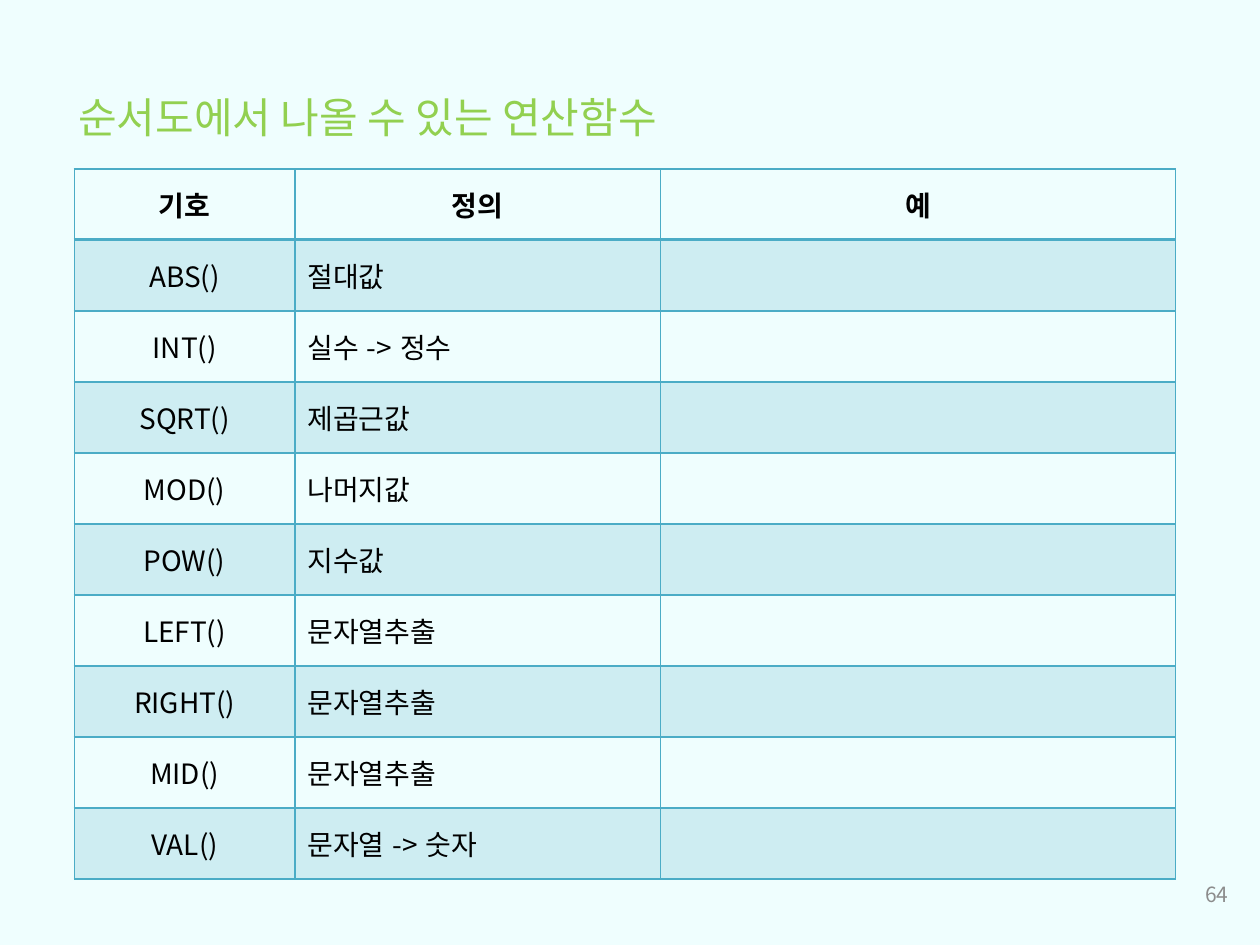
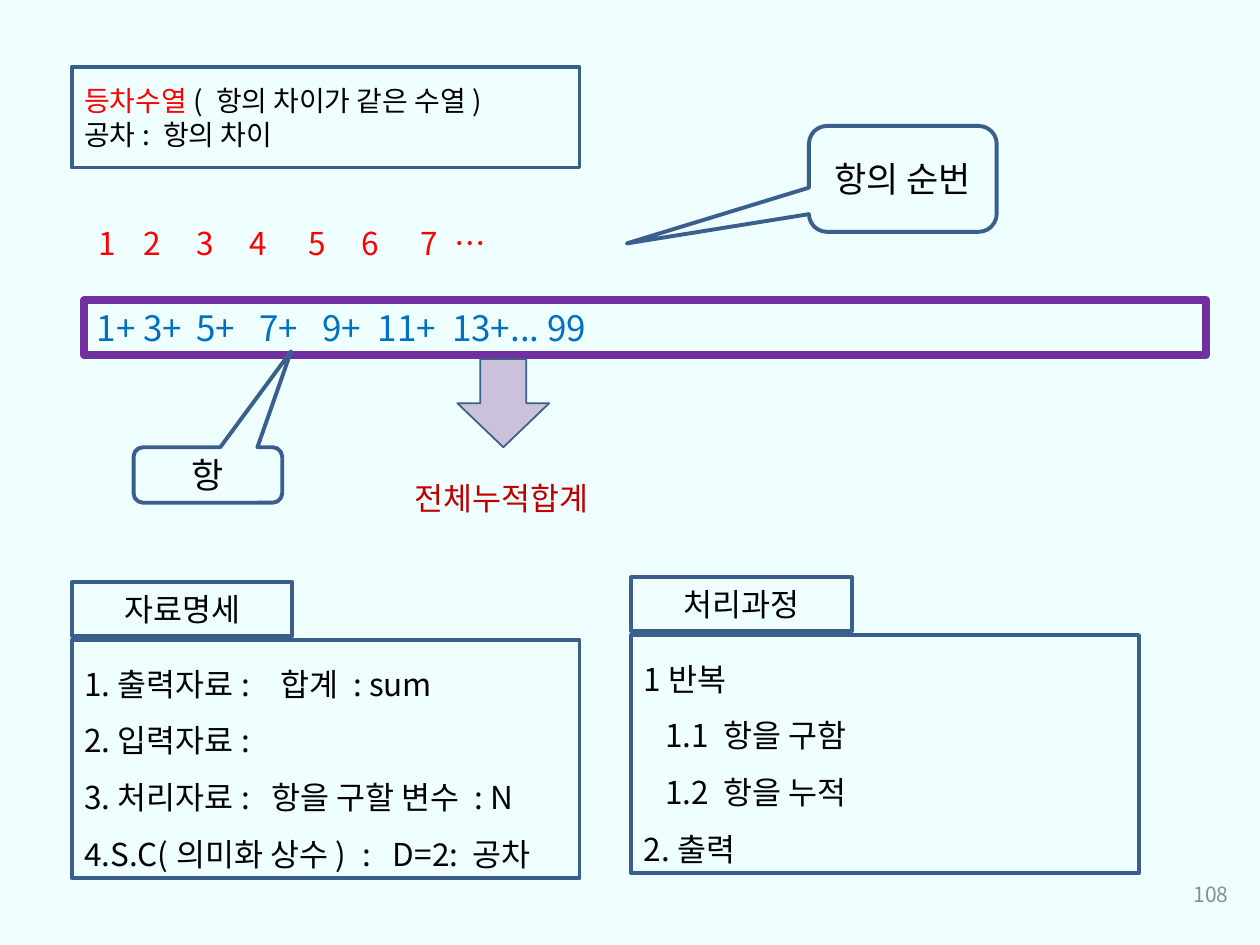
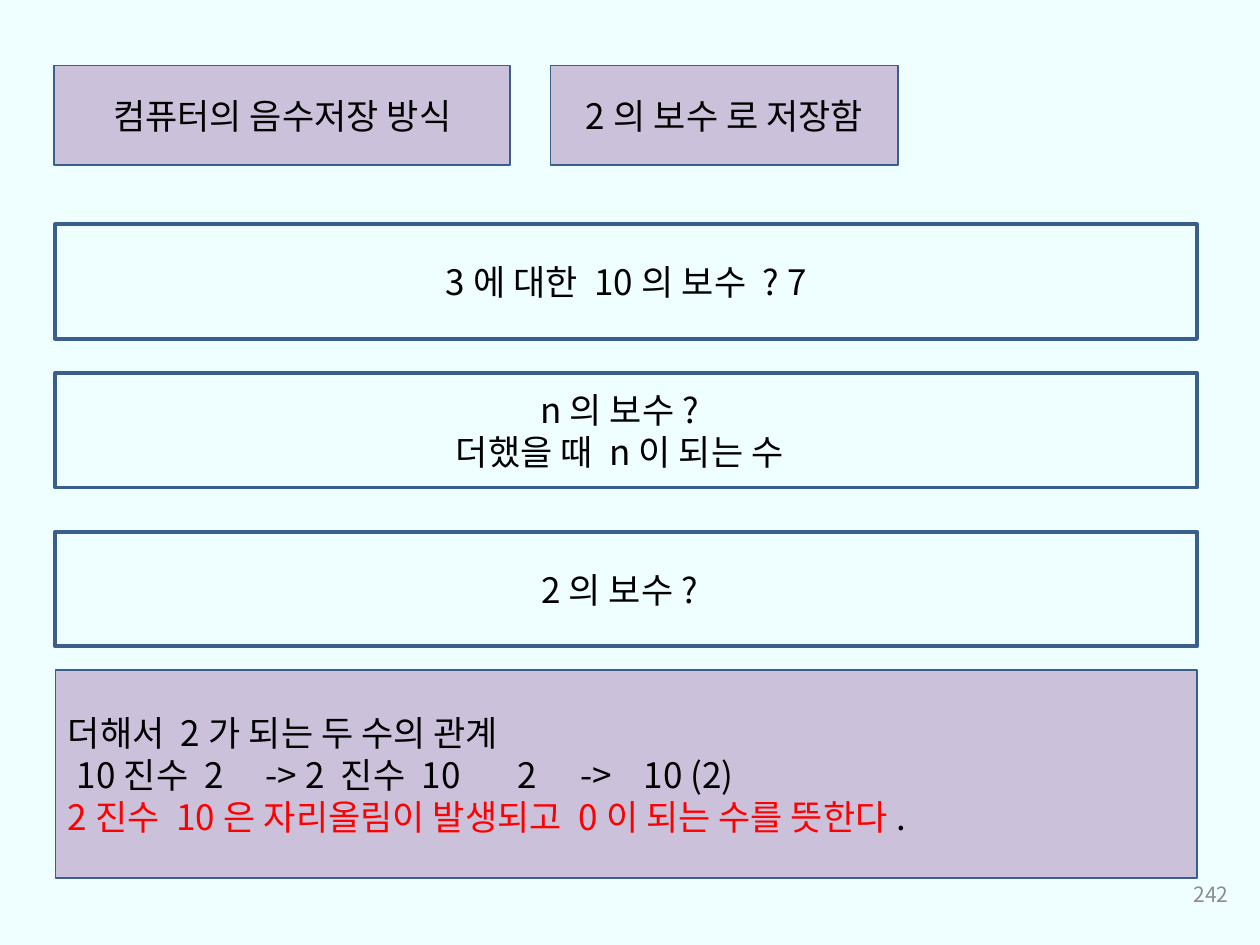
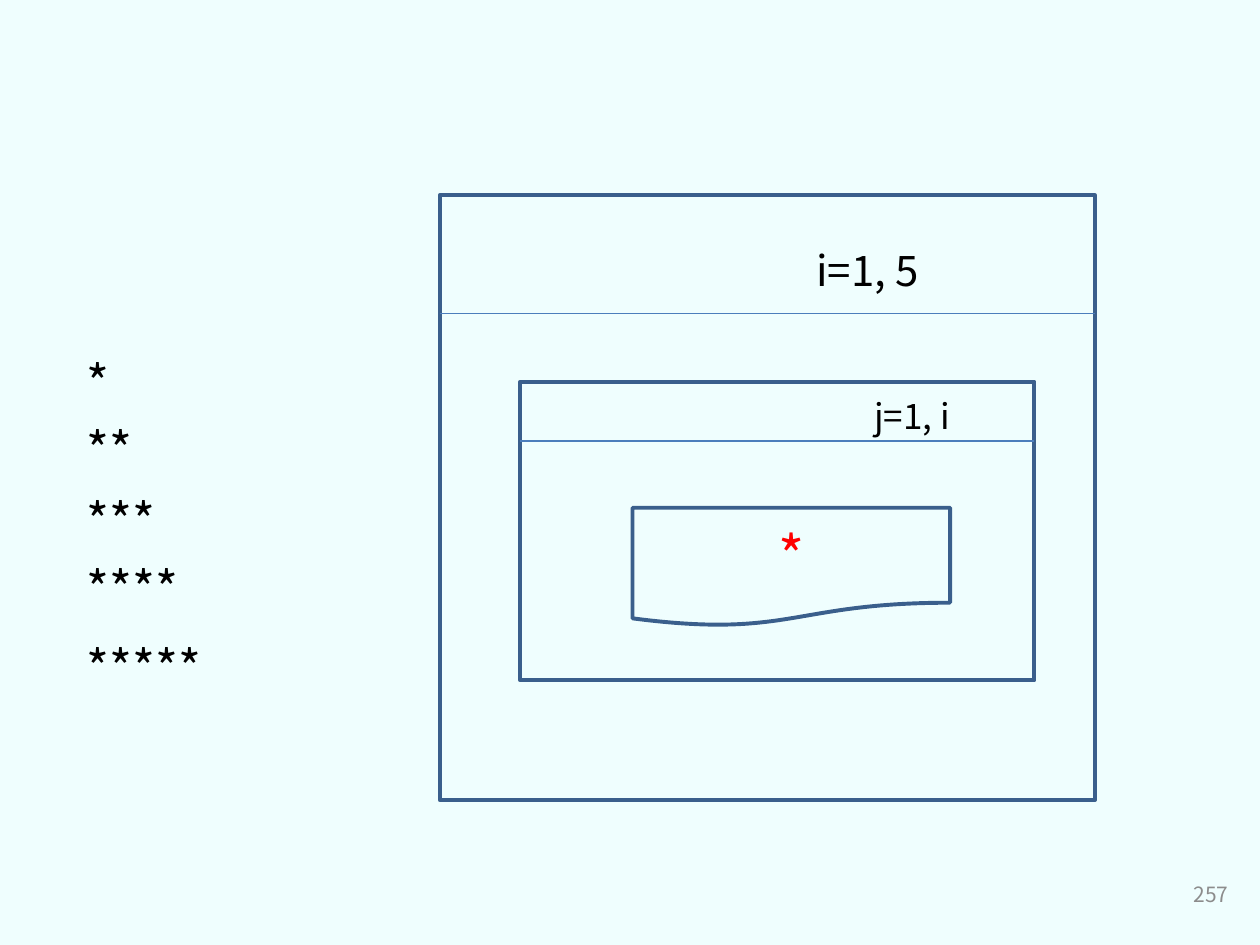
from collections.abc import Sequence
from dataclasses import dataclass

from lxml import etree
from pptx import Presentation
from pptx.dml.color import RGBColor
from pptx.enum.shapes import MSO_CONNECTOR, MSO_SHAPE
from pptx.enum.text import MSO_ANCHOR, MSO_AUTO_SIZE, PP_ALIGN
from pptx.oxml.ns import qn
from pptx.util import Inches, Pt

LEFT, CENTER, RIGHT = PP_ALIGN.LEFT, PP_ALIGN.CENTER, PP_ALIGN.RIGHT
TOP, MIDDLE = MSO_ANCHOR.TOP, MSO_ANCHOR.MIDDLE
RECTANGLE = MSO_SHAPE.RECTANGLE
CALLOUT = MSO_SHAPE.ROUNDED_RECTANGULAR_CALLOUT
DOWN_ARROW = MSO_SHAPE.DOWN_ARROW
DOCUMENT = MSO_SHAPE.FLOWCHART_DOCUMENT
STRAIGHT = MSO_CONNECTOR.STRAIGHT
NO_AUTOFIT = MSO_AUTO_SIZE.NONE
TITLE_ONLY, BLANK = 5, 6


@dataclass(frozen=True)
class Theme:
    font: str = "Noto Sans CJK KR"
    background: str = "EFFEFE"
    text: str = "000000"
    title: str = "92D050"
    number: str = "8C8C8C"
    outline: str = "3A5F8C"
    divider: str = "4B7EBC"
    lilac: str = "CCC1DA"
    grid: str = "4BACC6"
    red: str = "FF0000"
    dark_red: str = "C00000"
    blue: str = "0070C0"
    purple: str = "7030A0"
    number_size: int = 12
    small_size: int = 16
    body_size: int = 18
    large_size: int = 20
    title_size: int = 24
    star_size: int = 28
    big_star_size: int = 32
    thin: float = 1
    thick: float = 2.25
    heavy: float = 4.5
    hairline: float = 0.75


THEME = Theme()


@dataclass(frozen=True)
class Area:
    left: float
    top: float
    width: float
    height: float

    def lengths(self) -> tuple:
        return tuple(Inches(v) for v in (self.left, self.top, self.width, self.height))


@dataclass(frozen=True)
class Span:
    text: str
    color: str | None = None


@dataclass(frozen=True)
class Para:
    spans: tuple[Span, ...]
    tabs: tuple[float, ...] = ()
    indent: float = 0


@dataclass(frozen=True)
class Loop:
    frame: Area
    divider_top: float
    label: str
    label_area: Area
    label_size: int


def plain(text: str, tabs: tuple[float, ...] = (), indent: float = 0) -> Para:
    return Para((Span(text),), tabs, indent)


def write_text(frame, content: str | Sequence[Para], *, size: int = THEME.large_size,
               color: str = THEME.text, bold: bool = False, align=LEFT, anchor=MIDDLE,
               line_spacing: float | None = None, right_inset: float = 0.1) -> None:
    frame.word_wrap = True
    frame.auto_size = NO_AUTOFIT
    frame.vertical_anchor = anchor
    frame.margin_right = Inches(right_inset)
    paras = [plain(content)] if isinstance(content, str) else content
    for index, para in enumerate(paras):
        paragraph = frame.paragraphs[0] if index == 0 else frame.add_paragraph()
        fill_paragraph(paragraph, para, size, color, bold)
        paragraph.alignment = align
        if line_spacing:
            paragraph.line_spacing = line_spacing


def fill_paragraph(paragraph, para: Para, size: int, color: str, bold: bool) -> None:
    properties = paragraph._p.get_or_add_pPr()
    if para.indent:
        properties.set("marL", str(Inches(para.indent)))
        properties.set("indent", "0")
    if para.tabs:
        stops = etree.SubElement(properties, qn("a:tabLst"))
        for position in para.tabs:
            etree.SubElement(stops, qn("a:tab"), pos=str(Inches(position)), algn="l")
    for span in para.spans:
        run = paragraph.add_run()
        run.text = span.text
        run.font.size = Pt(size)
        run.font.bold = bold
        run.font.color.rgb = RGBColor.from_string(span.color or color)
        run.font.name = THEME.font
        etree.SubElement(run._r.get_or_add_rPr(), qn("a:ea"), typeface=THEME.font)


def add_box(shapes, area: Area, content: str | Sequence[Para] | None = None, *,
            kind=RECTANGLE, fill: str | None = None, line: str = THEME.outline,
            weight: float = THEME.thick, adjustments: Sequence[float] = (), **text_format):
    box = shapes.add_shape(kind, *area.lengths())
    box.shadow.inherit = False
    if fill:
        box.fill.solid()
        box.fill.fore_color.rgb = RGBColor.from_string(fill)
    else:
        box.fill.background()
    box.line.color.rgb = RGBColor.from_string(line)
    box.line.width = Pt(weight)
    for index, value in enumerate(adjustments):
        box.adjustments[index] = value
    if content:
        write_text(box.text_frame, content, **text_format)
    return box


def add_label(page, area: Area, content: str | Sequence[Para], **text_format) -> None:
    box = page.shapes.add_textbox(*area.lengths())
    write_text(box.text_frame, content, **{"anchor": TOP, **text_format})


def add_page(deck, layout: int, number: int):
    page = deck.slides.add_slide(deck.slide_layouts[layout])
    add_label(page, Area(7.52, 6.9, 2.33, 0.4), str(number), size=THEME.number_size,
              color=THEME.number, align=RIGHT, anchor=MIDDLE)
    return page


def style_cell(cell, row: int) -> None:
    properties = cell._tc.get_or_add_tcPr()
    weights = {"lnL": 1, "lnR": 1, "lnT": 2 if row == 1 else 1, "lnB": 2 if row == 0 else 1}
    for side, weight in weights.items():
        border = etree.SubElement(properties, qn(f"a:{side}"), w=str(Pt(weight)))
        solid = etree.SubElement(border, qn("a:solidFill"))
        etree.SubElement(solid, qn("a:srgbClr"), val=THEME.grid)
    if row % 2:
        cell.fill.solid()
        cell.fill.fore_color.rgb = RGBColor.from_string(THEME.grid)
        tint = properties.find(qn("a:solidFill")).find(qn("a:srgbClr"))
        etree.SubElement(tint, qn("a:alpha"), val="20000")
    else:
        cell.fill.background()


def build_functions(deck) -> None:
    page = add_page(deck, TITLE_ONLY, 64)
    title = page.shapes.title
    title.left, title.top, title.width, title.height = Area(0.52, 0.68, 6.92, 0.5).lengths()
    write_text(title.text_frame, "순서도에서 나올 수 있는 연산함수", size=THEME.title_size,
               color=THEME.title, anchor=TOP)
    rows = (
        ("기호", "정의", "예"),
        ("ABS()", "절대값", ""),
        ("INT()", "실수->정수", ""),
        ("SQRT()", "제곱근값", ""),
        ("MOD()", "나머지값", ""),
        ("POW()", "지수값", ""),
        ("LEFT()", "문자열추출", ""),
        ("RIGHT()", "문자열추출", ""),
        ("MID()", "문자열추출", ""),
        ("VAL()", "문자열->숫자", ""),
    )
    widths = (1.75, 2.9, 4.09)
    area = Area(0.59, 1.34, sum(widths), 5.64)
    table = page.shapes.add_table(len(rows), len(widths), *area.lengths()).table
    table.first_row = table.horz_banding = False
    for column, width in zip(table.columns, widths):
        column.width = Inches(width)
    for row, values in enumerate(rows):
        for column, value in enumerate(values):
            cell = table.cell(row, column)
            style_cell(cell, row)
            cell.vertical_anchor = MIDDLE
            if value:
                paragraph = cell.text_frame.paragraphs[0]
                fill_paragraph(paragraph, plain(value), THEME.small_size, THEME.text, row == 0)
                paragraph.alignment = CENTER if row == 0 or column == 0 else LEFT


def build_sequence(deck) -> None:
    page = add_page(deck, BLANK, 108)
    shapes = page.shapes
    series = plain("1+\t3+\t5+\t7+\t9+\t11+\t13+... 99", (0.37, 0.79, 1.29, 1.79, 2.23, 2.82))
    add_box(shapes, Area(0.67, 2.38, 8.9, 0.44), [series], line=THEME.purple,
            weight=THEME.heavy, color=THEME.blue, anchor=TOP)
    order = plain("1\t2\t3\t4\t5\t6\t7\t…", (0.36, 0.78, 1.2, 1.67, 2.09, 2.56, 2.83))
    add_label(page, Area(0.68, 1.73, 8.9, 0.4), [order], size=THEME.body_size, color=THEME.red)
    add_label(page, Area(3.19, 3.75, 1.89, 0.4), "전체누적합계", size=THEME.body_size,
              color=THEME.dark_red)
    add_box(shapes, Area(3.63, 2.85, 0.73, 0.7), kind=DOWN_ARROW, fill=THEME.lilac,
            weight=THEME.thin)
    callouts = (
        ("항의 순번", Area(6.42, 1, 1.49, 0.84), (-1.47, 0.61, 0.17)),
        ("항", Area(1.06, 3.55, 1.18, 0.44), (0.56, -2.23, 0.17)),
    )
    for text, area, adjustments in callouts:
        add_box(shapes, area, text, kind=CALLOUT, adjustments=adjustments, align=CENTER)

    definition = [
        Para((Span("등차수열", THEME.red), Span("( 항의 차이가 같은 수열)"))),
        plain("공차: 항의 차이"),
    ]
    add_box(shapes, Area(0.57, 0.53, 4.03, 0.8), definition, size=THEME.small_size)

    panels = (
        ("자료명세", 0.57, 4.62, [
            plain("1.출력자료:\t합계 : sum", (1.56,)),
            plain("2.입력자료:"),
            plain("3.처리자료:\t항을 구할 변수 : N", (1.49,)),
            plain("4.S.C(의미화 상수)\t:\tD=2: 공차", (2.21, 2.45)),
        ]),
        ("처리과정", 5.01, 4.58, [
            plain("1반복"),
            plain("1.1 항을 구함", indent=0.17),
            plain("1.2 항을 누적", indent=0.17),
            plain("2.출력"),
        ]),
    )
    for heading, left, top, items in panels:
        add_box(shapes, Area(left, top, 1.75, 0.43), heading, size=THEME.body_size,
                align=CENTER)
        add_box(shapes, Area(left, top + 0.46, 4.03, 1.89), items, size=THEME.body_size,
                line_spacing=1.5)


def build_complement(deck) -> None:
    shapes = add_page(deck, BLANK, 242).shapes
    for text, left, width in (("컴퓨터의 음수저장 방식", 0.43, 3.62),
                              ("2의 보수 로 저장함", 4.37, 2.76)):
        add_box(shapes, Area(left, 0.52, width, 0.79), text, fill=THEME.lilac,
                weight=THEME.thin, align=CENTER)
    questions = (
        (1.78, [plain("3에 대한 10의 보수 ? 7")], 0.1),
        (2.96, [plain("n의 보수?"), plain("더했을 때 n이 되는 수")], 0.2),
        (4.22, [plain("2의 보수?")], 0.2),
    )
    for top, paras, right_inset in questions:
        add_box(shapes, Area(0.44, top, 9.06, 0.91), paras, align=CENTER,
                right_inset=right_inset)
    explanation = [
        plain("더해서 2가 되는 두 수의 관계"),
        plain("10진수 2\t-> 2 진수 10\t2\t->\t10 (2)", (1.44, 4.93, 5.4, 5.84), 0.07),
        Para((Span("2진수 10은 자리올림이 발생되고 0이 되는 수를 뜻한다", THEME.red), Span("."))),
    ]
    add_box(shapes, Area(0.44, 5.32, 9.06, 1.65), explanation, fill=THEME.lilac,
            weight=THEME.thin)


def add_loop(page, loop: Loop) -> None:
    group = page.shapes.add_group_shape()
    add_box(group.shapes, loop.frame)
    left, top = Inches(loop.frame.left), Inches(loop.divider_top)
    right = left + Inches(loop.frame.width)
    divider = group.shapes.add_connector(STRAIGHT, left, top, right, top)
    divider.line.color.rgb = RGBColor.from_string(THEME.divider)
    divider.line.width = Pt(THEME.hairline)
    etree.SubElement(divider._element.spPr, qn("a:effectLst"))
    add_label(page, loop.label_area, loop.label, size=loop.label_size)


def build_stars(deck) -> None:
    page = add_page(deck, BLANK, 257)
    loops = (
        Loop(Area(3.49, 1.55, 5.2, 4.8), 2.49, "i=1, 5", Area(6.38, 1.89, 2.76, 0.5),
             THEME.title_size),
        Loop(Area(4.13, 3.03, 4.08, 2.37), 3.5, "j=1, i", Area(6.84, 3.08, 2.76, 0.44),
             THEME.large_size),
    )
    for loop in loops:
        add_loop(page, loop)
    add_box(page.shapes, Area(5.02, 4.03, 2.52, 0.94), "*", kind=DOCUMENT,
            size=THEME.big_star_size, color=THEME.red, align=CENTER)
    for count, top in enumerate((2.75, 3.28, 3.84, 4.38, 5.01), start=1):
        add_label(page, Area(0.59, top, 2.36, 0.57), "*" * count, size=THEME.star_size)


def main() -> None:
    deck = Presentation()
    deck.slide_width, deck.slide_height = Inches(10), Inches(7.5)
    backdrop = deck.slide_master.background.fill
    backdrop.solid()
    backdrop.fore_color.rgb = RGBColor.from_string(THEME.background)
    for build in (build_functions, build_sequence, build_complement, build_stars):
        build(deck)
    deck.save("out.pptx")


if __name__ == "__main__":
    main()
